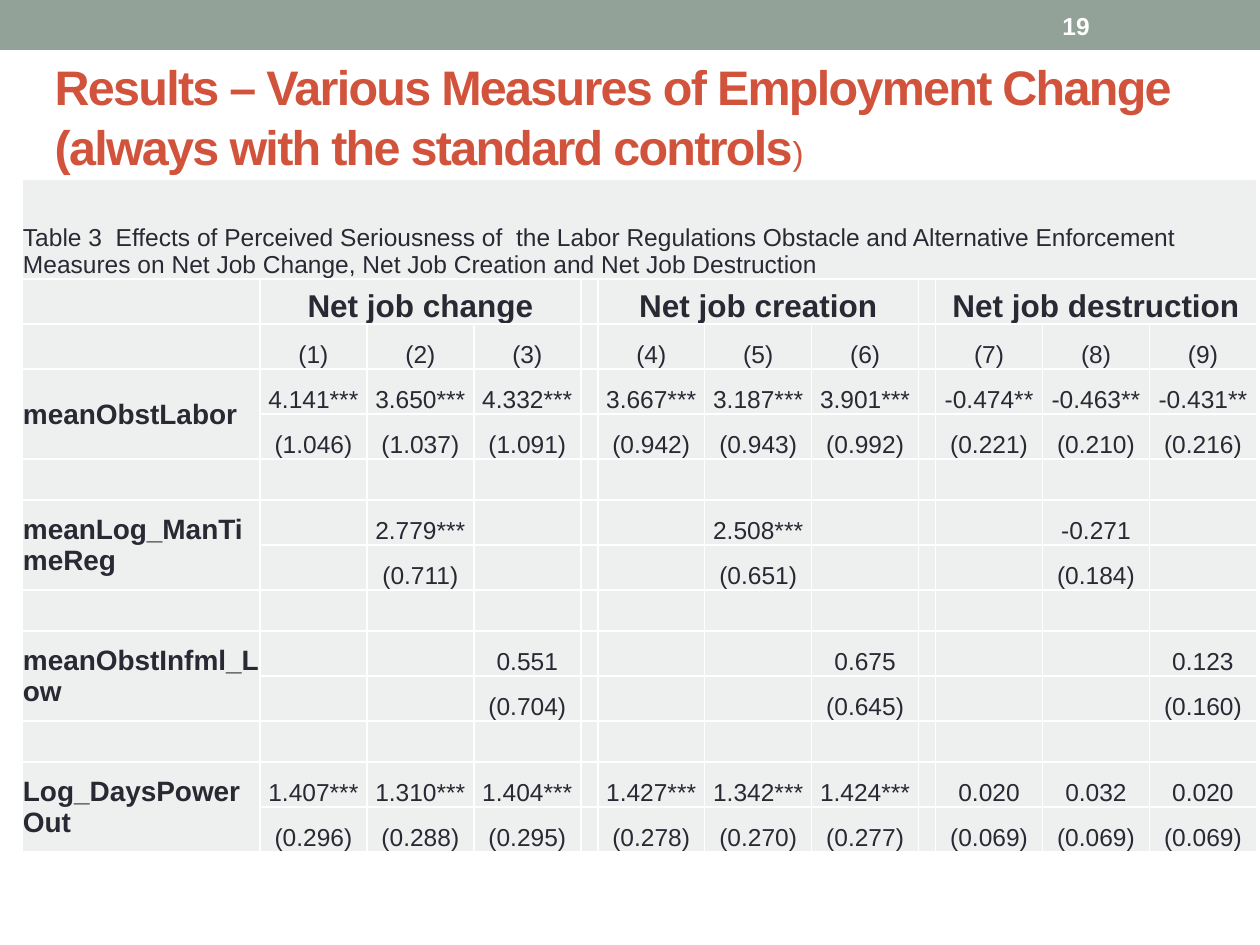
from lxml import etree
from pptx import Presentation
from pptx.dml.color import RGBColor
from pptx.enum.shapes import MSO_SHAPE
from pptx.enum.text import MSO_ANCHOR, MSO_AUTO_SIZE, PP_ALIGN
from pptx.oxml.ns import qn
from pptx.util import Emu, Pt

LEFT, CENTER = PP_ALIGN.LEFT, PP_ALIGN.CENTER
MIDDLE, BOTTOM = MSO_ANCHOR.MIDDLE, MSO_ANCHOR.BOTTOM
TITLE_ONLY = 5
FONT = "Arial"
SAGE, RUST, INK, PALE, WHITE = "93A299", "D2533C", "292934", "EEF0EF", "FFFFFF"

# Content
PAGE_NUMBER = "19"
TITLE = "Results – Various Measures of Employment Change (always with the standard controls"
TITLE_END = ")"
CAPTION = ("Table 3  Effects of Perceived Seriousness of  the Labor Regulations Obstacle "
           "and Alternative Enforcement Measures on Net Job Change, Net Job Creation "
           "and Net Job Destruction")
OUTCOMES = ["Net job change", "Net job creation", "Net job destruction"]
MODELS = [f"({number})" for number in range(1, 10)]
# Variable, then {model index: (coefficient, standard error)}
ESTIMATES = [
    ("meanObstLabor", dict(enumerate([
        ("4.141***", "1.046"), ("3.650***", "1.037"), ("4.332***", "1.091"),
        ("3.667***", "0.942"), ("3.187***", "0.943"), ("3.901***", "0.992"),
        ("-0.474**", "0.221"), ("-0.463**", "0.210"), ("-0.431**", "0.216")]))),
    ("meanLog_ManTimeReg", {
        1: ("2.779***", "0.711"), 4: ("2.508***", "0.651"), 7: ("-0.271", "0.184")}),
    ("meanObstInfml_Low", {
        2: ("0.551", "0.704"), 5: ("0.675", "0.645"), 8: ("0.123", "0.160")}),
    ("Log_DaysPowerOut", dict(enumerate([
        ("1.407***", "0.296"), ("1.310***", "0.288"), ("1.404***", "0.295"),
        ("1.427***", "0.278"), ("1.342***", "0.270"), ("1.424***", "0.277"),
        ("0.020", "0.069"), ("0.032", "0.069"), ("0.020", "0.069")]))),
]

# Table grid: groups of three models, parted by narrow columns and rows
GROUP = 3
MODEL_WIDTHS = [107] * GROUP
COLUMN_WIDTHS = [238, *MODEL_WIDTHS, 17, *MODEL_WIDTHS, 17, *MODEL_WIDTHS]
ROW_HEIGHTS = [100, 45, 45] + [45, 45, 41] * (len(ESTIMATES) - 1) + [45, 45]
FIRST_ESTIMATE_ROW = 3


def px(length):
    return Emu(length * 914400 // 126)


def color(hex_value):
    return RGBColor.from_string(hex_value)


def add_run(paragraph, text, size=14, bold=False, ink=INK):
    run = paragraph.add_run()
    run.text = text
    run.font.name = FONT
    run.font.size = Pt(size)
    run.font.bold = bold
    run.font.color.rgb = color(ink)
    return run


def model_column(model):
    return 1 + model + model // GROUP


def style_cell(cell):
    cell.margin_left = cell.margin_right = cell.margin_top = px(1)
    cell.margin_bottom = 0
    cell.vertical_anchor = BOTTOM
    properties = cell._tc.get_or_add_tcPr()
    for side in ("lnL", "lnR", "lnT", "lnB"):
        border = etree.SubElement(properties, qn(f"a:{side}"), w=str(Pt(1)))
        border_fill = etree.SubElement(border, qn("a:solidFill"))
        etree.SubElement(border_fill, qn("a:srgbClr"), val=WHITE)
    cell.fill.solid()
    cell.fill.fore_color.rgb = color(PALE)


def write_cell(cell, text, align=CENTER, anchor=BOTTOM, **text_format):
    cell.vertical_anchor = anchor
    paragraph = cell.text_frame.paragraphs[0]
    paragraph.alignment = align
    add_run(paragraph, text, **text_format)


def add_header(slide, slide_width):
    band = slide.shapes.add_shape(MSO_SHAPE.RECTANGLE, 0, 0, slide_width, px(50))
    band.shadow.inherit = False
    band.fill.solid()
    band.fill.fore_color.rgb = color(SAGE)
    band.line.fill.background()

    number = slide.shapes.add_textbox(px(1050), px(3), px(147), px(45)).text_frame
    number.word_wrap = True
    number.vertical_anchor = MIDDLE
    add_run(number.paragraphs[0], PAGE_NUMBER, bold=True, ink=WHITE)


def set_title(title):
    title.left, title.top, title.width, title.height = px(42), px(57), px(1194), px(116)
    frame = title.text_frame
    frame.auto_size = MSO_AUTO_SIZE.NONE
    frame.word_wrap = True
    frame.vertical_anchor = MIDDLE
    frame.margin_top = frame.margin_bottom = 0
    paragraph = frame.paragraphs[0]
    paragraph.alignment = LEFT
    paragraph.line_spacing = 1.04
    runs = [add_run(paragraph, TITLE, size=27.7, bold=True, ink=RUST),
            add_run(paragraph, TITLE_END, size=18.9, ink=RUST)]
    for run in runs:
        run.font._element.set("spc", "-100")


def add_results(slide):
    table = slide.shapes.add_table(
        len(ROW_HEIGHTS), len(COLUMN_WIDTHS), px(22), px(179),
        px(sum(COLUMN_WIDTHS)), px(sum(ROW_HEIGHTS))).table
    table.first_row = table.horz_banding = False
    for column, width in zip(table.columns, COLUMN_WIDTHS):
        column.width = px(width)
    for row, height in zip(table.rows, ROW_HEIGHTS):
        row.height = px(height)
    for cell in table.iter_cells():
        style_cell(cell)

    # Caption and column headings
    caption = table.cell(0, 0)
    caption.merge(table.cell(0, len(COLUMN_WIDTHS) - 1))
    write_cell(caption, CAPTION, align=LEFT)
    for group, outcome in enumerate(OUTCOMES):
        first = model_column(group * GROUP)
        heading = table.cell(1, first)
        heading.merge(table.cell(1, first + GROUP - 1))
        write_cell(heading, outcome, size=18, bold=True)
    for model, label in enumerate(MODELS):
        write_cell(table.cell(2, model_column(model)), label)

    # Coefficients over standard errors
    for index, (variable, estimates) in enumerate(ESTIMATES):
        row = FIRST_ESTIMATE_ROW + 3 * index
        name = table.cell(row, 0)
        name.merge(table.cell(row + 1, 0))
        write_cell(name, variable, align=LEFT, anchor=MIDDLE, size=16, bold=True)
        for model, (coefficient, error) in estimates.items():
            column = model_column(model)
            write_cell(table.cell(row, column), coefficient)
            write_cell(table.cell(row + 1, column), f"({error})")


def main():
    deck = Presentation()
    deck.slide_width, deck.slide_height = px(1260), px(945)
    slide = deck.slides.add_slide(deck.slide_layouts[TITLE_ONLY])
    add_header(slide, deck.slide_width)
    set_title(slide.shapes.title)
    add_results(slide)
    deck.save("out.pptx")


if __name__ == "__main__":
    main()
